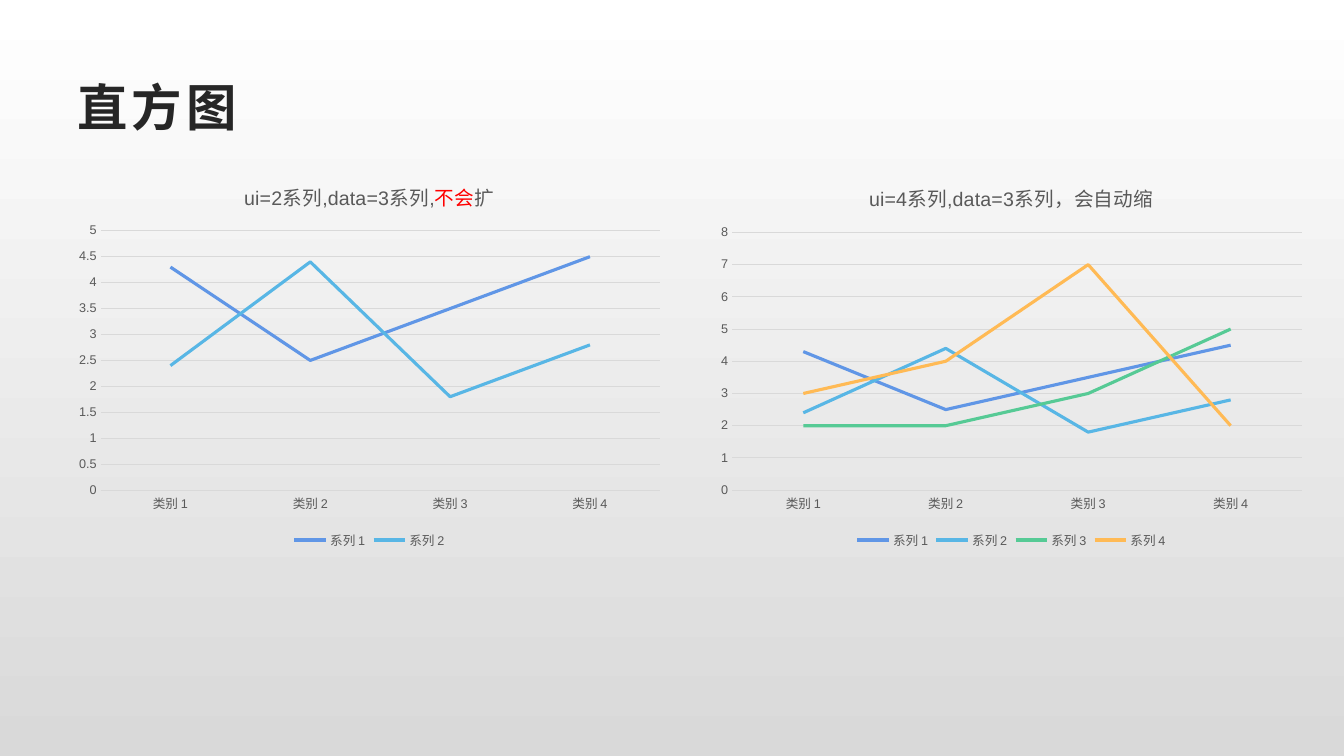
"""Build a slide that compares two line charts with different series counts."""
from pptx import Presentation
from pptx.chart.data import CategoryChartData
from pptx.dml.color import RGBColor
from pptx.enum.chart import XL_CHART_TYPE, XL_LEGEND_POSITION, XL_MARKER_STYLE, XL_TICK_MARK
from pptx.enum.text import MSO_ANCHOR, MSO_AUTO_SIZE, PP_ALIGN
from pptx.util import Emu, Pt

EMU_PER_PX = 914400 / 100.8
FONT = "Arial"

WHITE = RGBColor(0xFF, 0xFF, 0xFF)
LIGHT_GREY = RGBColor(0xD9, 0xD9, 0xD9)
MID_GREY = RGBColor(0x59, 0x59, 0x59)
DARK_GREY = RGBColor(0x26, 0x26, 0x26)
RED = RGBColor(0xFF, 0x00, 0x00)
BLUE = RGBColor(0x60, 0x96, 0xE6)
SKY = RGBColor(0x58, 0xB6, 0xE5)
GREEN = RGBColor(0x56, 0xCA, 0x95)
ORANGE = RGBColor(0xFF, 0xBA, 0x55)

CATEGORIES = [f"类别 {number}" for number in range(1, 5)]
SERIES = [
    ("系列 1", (4.3, 2.5, 3.5, 4.5), BLUE),
    ("系列 2", (2.4, 4.4, 1.8, 2.8), SKY),
    ("系列 3", (2, 2, 3, 5), GREEN),
    ("系列 4", (3, 4, 7, 2), ORANGE),
]


def px(length):
    """Turn a length in pixels into EMU."""
    return Emu(round(length * EMU_PER_PX))


def set_font(font, size, color, bold=False):
    """Apply the slide's typeface with a size, colour and weight."""
    font.name = FONT
    font.size = Pt(size)
    font.bold = bold
    font.color.rgb = color


def set_line(line, color, width):
    """Give a line a solid colour and a width in points."""
    line.color.rgb = color
    line.width = Pt(width)


def paint_background(slide):
    """Fill the slide from white at the top to grey at the bottom."""
    fill = slide.background.fill
    fill.gradient()
    fill.gradient_angle = 270
    for stop, color in zip(fill.gradient_stops, (WHITE, LIGHT_GREY)):
        stop.color.rgb = color


def write_title(slide, text):
    """Place and format the slide title."""
    title = slide.shapes.title
    title.left, title.top, title.width, title.height = map(px, (67, 67, 1210, 78))
    frame = title.text_frame
    frame.auto_size = MSO_AUTO_SIZE.NONE
    frame.vertical_anchor = MSO_ANCHOR.MIDDLE
    heading = frame.paragraphs[0]
    heading.alignment = PP_ALIGN.LEFT
    set_font(heading.font, 36, DARK_GREY, bold=True)
    run = heading.add_run()
    run.text = text
    run._r.get_or_add_rPr().set("spc", "300")


def write_chart_title(chart, parts):
    """Write the chart title from pairs of text and colour."""
    chart.has_title = True
    chart.chart_title.include_in_layout = False
    caption = chart.chart_title.text_frame.paragraphs[0]
    set_font(caption.font, 14, MID_GREY)
    for text, color in parts:
        run = caption.add_run()
        run.text = text
        run.font.color.rgb = color


def format_axes(chart):
    """Style both axes and the horizontal gridlines."""
    for axis in (chart.category_axis, chart.value_axis):
        axis.major_tick_mark = XL_TICK_MARK.NONE
        axis.minor_tick_mark = XL_TICK_MARK.NONE
        set_font(axis.tick_labels.font, 9, MID_GREY)
    set_line(chart.category_axis.format.line, LIGHT_GREY, 0.75)
    chart.value_axis.format.line.fill.background()
    chart.value_axis.has_major_gridlines = True
    set_line(chart.value_axis.major_gridlines.format.line, LIGHT_GREY, 0.75)


def add_line_chart(slide, left, series_rows, title_parts):
    """Add a line chart with its title, axes and legend."""
    data = CategoryChartData()
    data.categories = CATEGORIES
    for name, values, _ in series_rows:
        data.add_series(name, values)
    chart = slide.shapes.add_chart(
        XL_CHART_TYPE.LINE, px(left), px(164), px(605), px(389), data
    ).chart
    chart.font.name = FONT
    chart.font.size = Pt(10)
    write_chart_title(chart, title_parts)
    format_axes(chart)
    chart.has_legend = True
    chart.legend.position = XL_LEGEND_POSITION.BOTTOM
    chart.legend.include_in_layout = False
    set_font(chart.legend.font, 9, MID_GREY)
    plot = chart.plots[0]
    plot.vary_by_categories = False
    for series, (_, _, color) in zip(plot.series, series_rows):
        series.smooth = False
        series.marker.style = XL_MARKER_STYLE.NONE
        set_line(series.format.line, color, 2.25)


def main():
    """Build and save the slide."""
    deck = Presentation()
    deck.slide_width, deck.slide_height = px(1344), px(756)
    slide = deck.slides.add_slide(deck.slide_layouts[5])
    paint_background(slide)
    write_title(slide, "直方图")
    fixed_title = [("ui=2系列,data=3系列,", MID_GREY), ("不会", RED), ("扩", MID_GREY)]
    shrinking_title = [("ui=4系列,data=3系列，会自动缩", MID_GREY)]
    add_line_chart(slide, 67, SERIES[:2], fixed_title)
    add_line_chart(slide, 709, SERIES, shrinking_title)
    deck.save("out.pptx")


if __name__ == "__main__":
    main()
